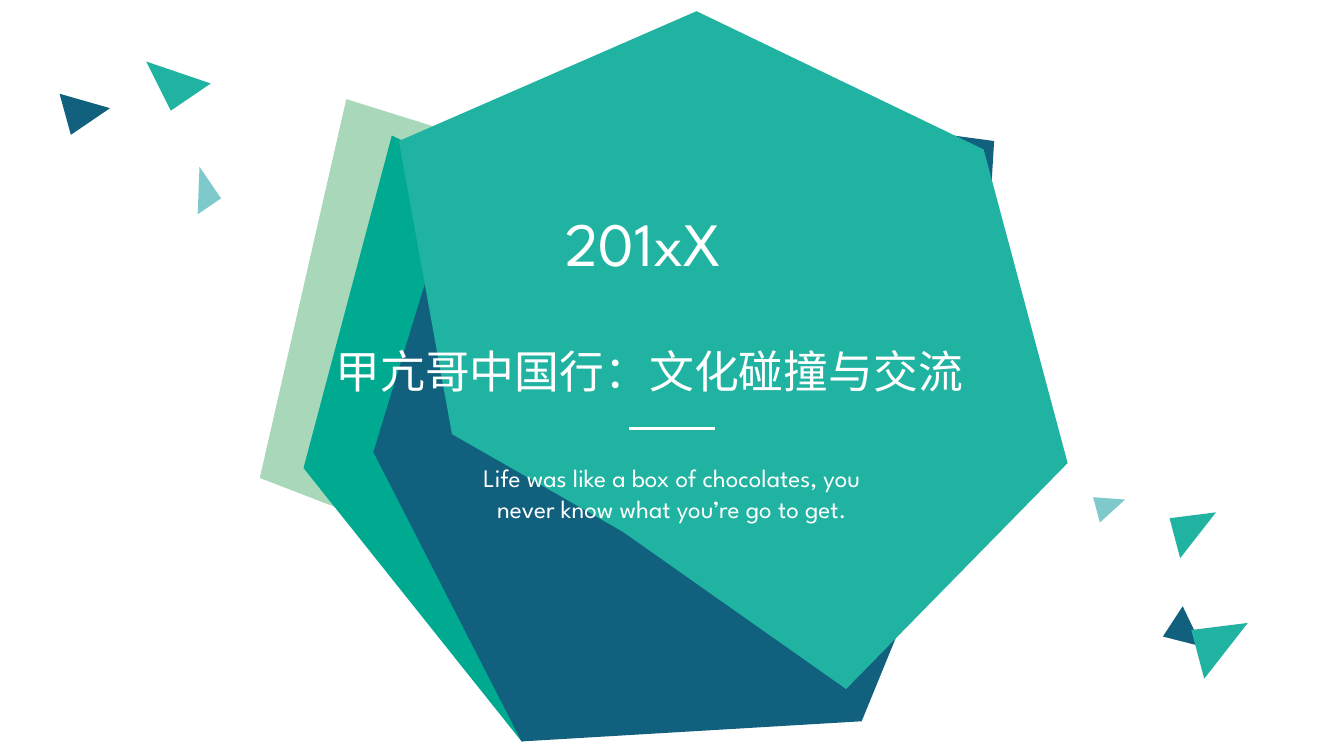
from lxml import etree
from pptx import Presentation, util as u
from pptx.chart.data import CategoryChartData
from pptx.dml.color import RGBColor
from pptx.enum import chart as charts, shapes, text
from pptx.oxml import parse_xml
from pptx.oxml.ns import nsdecls, qn

WIDE, HIGH = 13.33, 7.5
NAVY, TEAL, JADE, MINT, SKY, WHITE = (
    "11607E", "20B3A1", "00AA90", "A8D8B9", "7EC9CC", "FFFFFF")
LATIN = "League Spartan"

RINGS = [
    (TEAL, (82, 82, 85, 77, 38, 56, 85)),
    (NAVY, (62, 85, 64, 85, 90, 74, 69)),
    (JADE, (21, 21, 21, 72, 90, 90, 87)),
    (MINT, (38, 49, 23, 28, 56, 100, 100)),
    (SKY, (77, 31, 67, 74, 49, 59, 62)),
]
LEFT = [
    (0, 0.37, 0.47, 0.4, 325.8, 0.29, NAVY),
    (0.95, 0, 0.48, 0.54, 325.8, 0.152, TEAL),
    (1.28, 1.23, 0.28, 0.38, 325.8, 1, SKY),
]
RIGHT = [
    (0.68, 1.16, 0.4, 0.34, 14.3, 0.29, NAVY),
    (0.78, 0.18, 0.41, 0.46, 75.1, 0.152, TEAL),
    (1.01, 1.27, 0.5, 0.56, 75.1, 0.152, TEAL),
    (0, 0, 0.26, 0.3, 75.1, 0.4, SKY),
]


def paint(part, tint):
    part.solid()
    part.fore_color.rgb = RGBColor.from_string(tint)


def place(*lengths):
    return [u.Inches(n) for n in lengths]


def add_radar(slide, box):
    data = CategoryChartData()
    data.categories = [str(n) for n in range(1, 8)]
    for n, (_, values) in enumerate(RINGS, 1):
        data.add_series(f"Series {n}", values)
    chart = slide.shapes.add_chart(
        charts.XL_CHART_TYPE.RADAR_FILLED, *place(*box), data).chart
    chart.has_legend = chart.has_title = False
    chart.font.name, chart.font.size = "Calibri", u.Pt(10)
    chart.font.color.rgb = RGBColor.from_string("000000")
    plot = chart.plots[0]
    plot.vary_by_categories = False
    for ring, (tint, _) in zip(plot.series, RINGS):
        paint(ring.format.fill, tint)
        ring.format.line.fill.background()
    for axis in (chart.category_axis, chart.value_axis):
        axis.has_major_gridlines = False
        axis.visible = False
    chart.value_axis.minimum_scale = 0
    chart.value_axis.maximum_scale = 100

    area = plot._element.getparent()
    for old in area.findall(qn("c:layout")):
        area.remove(old)
    rules = [("layoutTarget", "inner"), ("xMode", "edge"), ("yMode", "edge"),
             ("x", 0.128), ("y", 0.008), ("w", 0.707), ("h", 0.984)]
    marks = "".join(f'<c:{name} val="{val}"/>' for name, val in rules)
    area.insert(0, parse_xml(
        f'<c:layout {nsdecls("c")}><c:manualLayout>{marks}'
        '</c:manualLayout></c:layout>'))


def add_words(slide, box, words, size, font, align):
    frame = slide.shapes.add_textbox(*place(*box)).text_frame
    frame.word_wrap = True
    frame.auto_size = text.MSO_AUTO_SIZE.SHAPE_TO_FIT_TEXT
    para = frame.paragraphs[0]
    para.text, para.alignment = words, align
    para.font.name, para.font.size = font, u.Pt(size)
    para.font.color.rgb = RGBColor.from_string(WHITE)


def add_title(slide, box):
    x, y, w, h = box
    add_words(slide, (x + 2.28, y, 2.65, 0.84), "201xX", 44, LATIN,
              text.PP_ALIGN.JUSTIFY)
    add_words(slide, (x, y + 1.38, w, 0.64), "甲亢哥中国行：文化碰撞与交流",
              32, "Arial", text.PP_ALIGN.JUSTIFY)
    rule = slide.shapes.add_connector(
        shapes.MSO_CONNECTOR.STRAIGHT,
        *place(x + 3.01, y + 2.27, x + 3.86, y + 2.27))
    paint(rule.line.fill, WHITE)
    rule.line.width = u.Pt(2.25)
    etree.SubElement(rule._element.spPr, qn("a:effectLst"))
    add_words(slide, (x + 1.16, y + h - 0.71, 4.55, 0.71),
              "Life was like a box of chocolates, "
              "you never know what you’re go to get.",
              18, LATIN, text.PP_ALIGN.CENTER)


def add_shards(slide, box, shards):
    x, y = box
    for dx, dy, w, h, turn, peak, tint in shards:
        shard = slide.shapes.add_shape(
            shapes.MSO_SHAPE.ISOSCELES_TRIANGLE, *place(x + dx, y + dy, w, h))
        shard.adjustments[0] = peak
        shard.rotation = turn
        shard.shadow.inherit = False
        paint(shard.fill, tint)
        shard.line.fill.background()


def main():
    deck = Presentation()
    deck.slide_width, deck.slide_height = place(WIDE, HIGH)
    slide = deck.slides.add_slide(deck.slide_layouts[6])
    paint(slide.background.fill, WHITE)
    add_radar(slide, (0.49, -0.76, WIDE, 9.03))
    add_title(slide, (3.23, 1.98, 6.97, 3.27))
    add_shards(slide, (0.55, 0.47), LEFT)
    add_shards(slide, (10.89, 4.87), RIGHT)
    deck.save("out.pptx")


if __name__ == "__main__":
    main()
